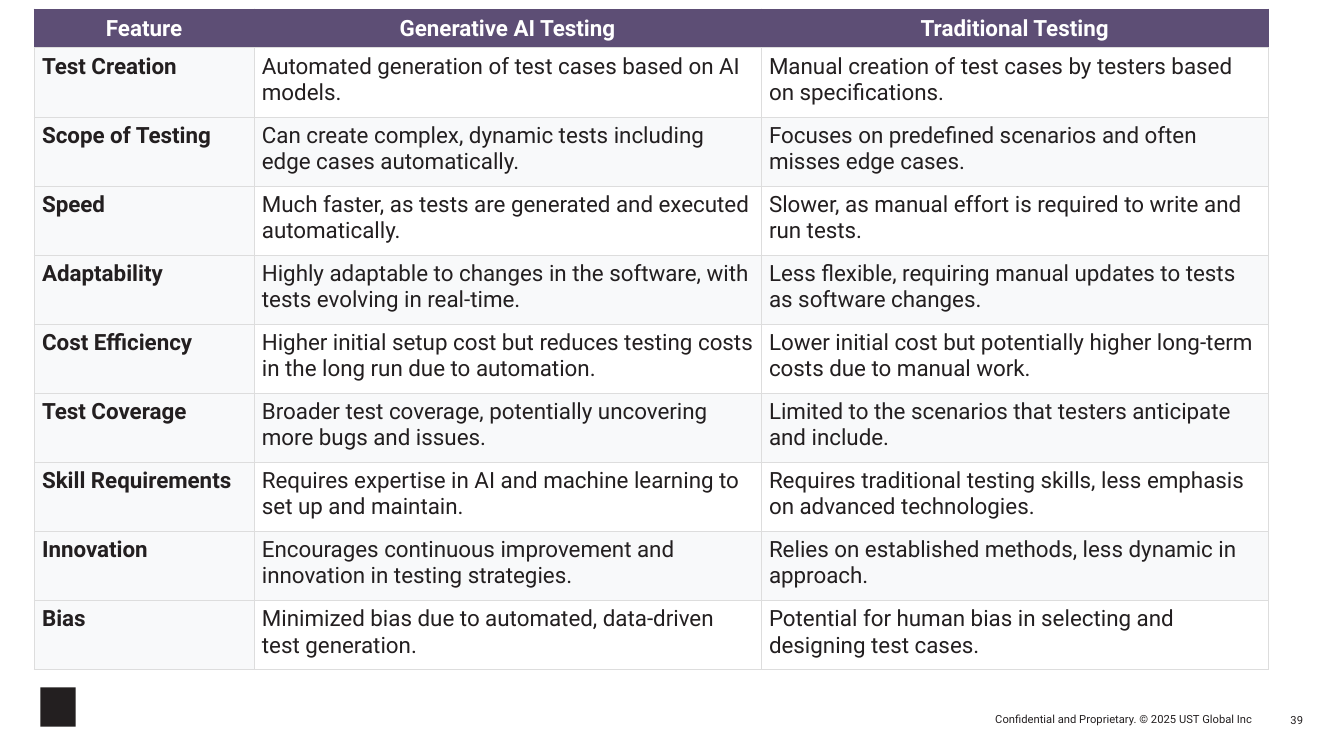
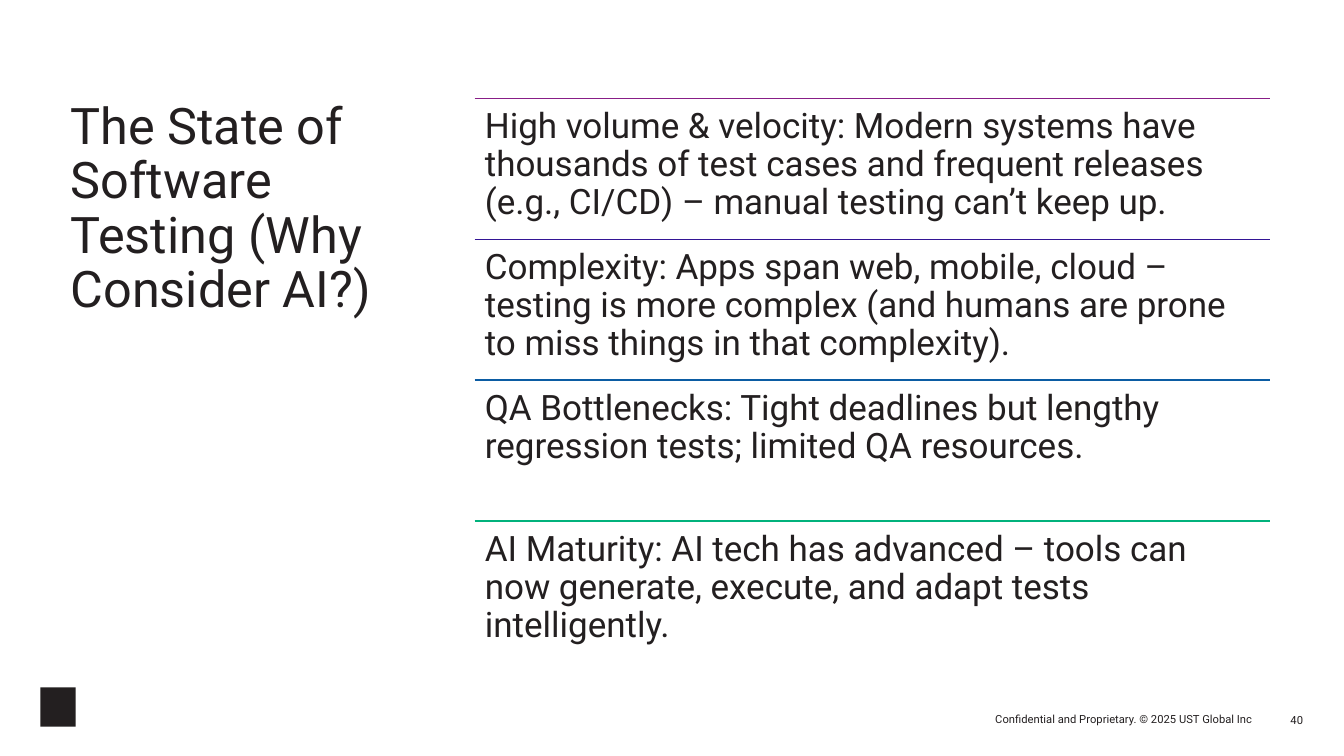
from lxml.etree import SubElement
from pptx import Presentation
from pptx.dml.color import RGBColor
from pptx.enum.shapes import MSO_CONNECTOR, MSO_SHAPE
from pptx.enum.text import MSO_ANCHOR, PP_ALIGN
from pptx.oxml.ns import qn
from pptx.util import Cm, Pt

FEATURES = [
    ("Feature", "Generative AI Testing", "Traditional Testing"),
    ("Test Creation",
     "Automated generation of test cases based on AI models.",
     "Manual creation of test cases by testers based on specifications."),
    ("Scope of Testing",
     "Can create complex, dynamic tests including edge cases automatically.",
     "Focuses on predefined scenarios and often misses edge cases."),
    ("Speed",
     "Much faster, as tests are generated and executed automatically.",
     "Slower, as manual effort is required to write and run tests."),
    ("Adaptability",
     "Highly adaptable to changes in the software, with tests evolving in real-time.",
     "Less flexible, requiring manual updates to tests as software changes."),
    ("Cost Efficiency",
     "Higher initial setup cost but reduces testing costs in the long run due to automation.",
     "Lower initial cost but potentially higher long-term costs due to manual work."),
    ("Test Coverage",
     "Broader test coverage, potentially uncovering more bugs and issues.",
     "Limited to the scenarios that testers anticipate and include."),
    ("Skill Requirements",
     "Requires expertise in AI and machine learning to set up and maintain.",
     "Requires traditional testing skills, less emphasis on advanced technologies."),
    ("Innovation",
     "Encourages continuous improvement and innovation in testing strategies.",
     "Relies on established methods, less dynamic in approach."),
    ("Bias",
     "Minimized bias due to automated, data-driven test generation.",
     "Potential for human bias in selecting and designing test cases."),
]

REASONS = [
    ("881E87", "High volume & velocity: Modern systems have thousands of test cases "
               "and frequent releases (e.g., CI/CD) – manual testing can’t keep up."),
    ("331595", "Complexity: Apps span web, mobile, cloud – testing is more complex "
               "(and humans are prone to miss things in that complexity)."),
    ("0B5CA3", "QA Bottlenecks: Tight deadlines but lengthy regression tests; "
               "limited QA resources."),
    ("01B27C", "AI Maturity: AI tech has advanced – tools can now generate, execute, "
               "and adapt tests intelligently."),
]


def rgb(value):
    return RGBColor.from_string(value)


class Deck:
    FONT = "Roboto"
    INK = "231F20"
    WHITE = "FFFFFF"
    HEADER = "5D4E75"
    PALE = "F8F9FA"
    RULE = "DDDDDD"

    def __init__(self):
        self.presentation = Presentation()
        self.presentation.slide_width = Cm(33.87)
        self.presentation.slide_height = Cm(19.05)
        self.slide = None

    def new_slide(self, number):
        self.slide = self.presentation.slides.add_slide(self.presentation.slide_layouts[6])
        self.block(1.02, 17.32, 0.89, 0.99, self.INK)
        for left, top, width, height, words in (
                (22.83, 17.78, 8.74, 0.51, "Confidential and Proprietary. © 2025 UST Global Inc"),
                (31.57, 17.55, 1.27, 0.76, str(number))):
            self.text(left, top, width, height, words, 8,
                      align=PP_ALIGN.RIGHT, anchor=MSO_ANCHOR.BOTTOM)

    def style(self, paragraph, size, color, bold=False, align=PP_ALIGN.LEFT):
        paragraph.alignment = align
        paragraph.font.name = self.FONT
        paragraph.font.size = Pt(size)
        paragraph.font.bold = bold
        paragraph.font.color.rgb = rgb(color)

    def block(self, left, top, width, height, color):
        shape = self.slide.shapes.add_shape(
            MSO_SHAPE.RECTANGLE, Cm(left), Cm(top), Cm(width), Cm(height))
        shape.shadow.inherit = False
        shape.fill.solid()
        shape.fill.fore_color.rgb = rgb(color)
        shape.line.fill.background()

    def text(self, left, top, width, height, words, size, inset=0, spacing=1.0,
             align=PP_ALIGN.LEFT, anchor=MSO_ANCHOR.TOP):
        frame = self.slide.shapes.add_textbox(
            Cm(left), Cm(top), Cm(width), Cm(height)).text_frame
        frame.word_wrap = True
        frame.vertical_anchor = anchor
        frame.margin_left = frame.margin_right = Cm(inset)
        frame.margin_top = frame.margin_bottom = Cm(inset)
        paragraph = frame.paragraphs[0]
        paragraph.text = words
        paragraph.line_spacing = spacing
        self.style(paragraph, size, self.INK, align=align)

    def title(self, words):
        self.text(1.78, 2.54, 8.33, 11.56, words, 36, spacing=0.9)

    def rule(self, left, top, width, color):
        line = self.slide.shapes.add_connector(
            MSO_CONNECTOR.STRAIGHT, Cm(left), Cm(top), Cm(left + width), Cm(top))
        line.line.color.rgb = rgb(color)
        line.line.width = Pt(1)
        SubElement(line._element.spPr, qn("a:effectLst"))

    def borders(self, cell, sides, bottom):
        properties = cell._tc.get_or_add_tcPr()
        for side, color in (("L", sides), ("R", sides), ("T", sides), ("B", bottom)):
            edge = SubElement(properties, qn(f"a:ln{side}"), w=str(Pt(0.75)))
            SubElement(SubElement(edge, qn("a:solidFill")), qn("a:srgbClr"), val=color)

    def cell(self, cell, words, row, column):
        heading = row == 0
        if heading:
            fill = self.HEADER
        else:
            fill = self.PALE if column == 0 or row % 2 == 0 else self.WHITE
        self.borders(cell, self.HEADER if heading else self.RULE, self.RULE)
        cell.fill.solid()
        cell.fill.fore_color.rgb = rgb(fill)
        cell.margin_left = cell.margin_right = Cm(0.2)
        cell.margin_top = cell.margin_bottom = Cm(0.15)
        cell.vertical_anchor = MSO_ANCHOR.MIDDLE if heading else MSO_ANCHOR.TOP
        cell.text = words
        self.style(cell.text_frame.paragraphs[0], 16,
                   self.WHITE if heading else self.INK,
                   bold=heading or column == 0,
                   align=PP_ALIGN.CENTER if heading else PP_ALIGN.LEFT)

    def table(self, left, top, widths, header_height, row_height, rows):
        heights = [header_height] + [row_height] * (len(rows) - 1)
        table = self.slide.shapes.add_table(
            len(rows), len(widths), Cm(left), Cm(top),
            Cm(sum(widths)), Cm(sum(heights))).table
        for column, width in zip(table.columns, widths):
            column.width = Cm(width)
        for row, (height, entries) in enumerate(zip(heights, rows)):
            table.rows[row].height = Cm(height)
            for column, words in enumerate(entries):
                self.cell(table.cell(row, column), words, row, column)


def main():
    deck = Deck()

    deck.new_slide(39)
    deck.table(0.86, 0.23, (5.54, 12.78, 12.78), 0.97, 1.74, FEATURES)

    deck.new_slide(40)
    deck.title("The State of Software Testing (Why Consider AI?)")
    left, width, first, pitch = 11.96, 20.04, 2.48, 3.55
    for index, (color, reason) in enumerate(REASONS):
        top = first + index * pitch
        deck.rule(left, top, width, color)
        deck.text(left, top, width, pitch, reason, 25, inset=0.26, spacing=0.9)

    deck.presentation.save("out.pptx")


if __name__ == "__main__":
    main()
